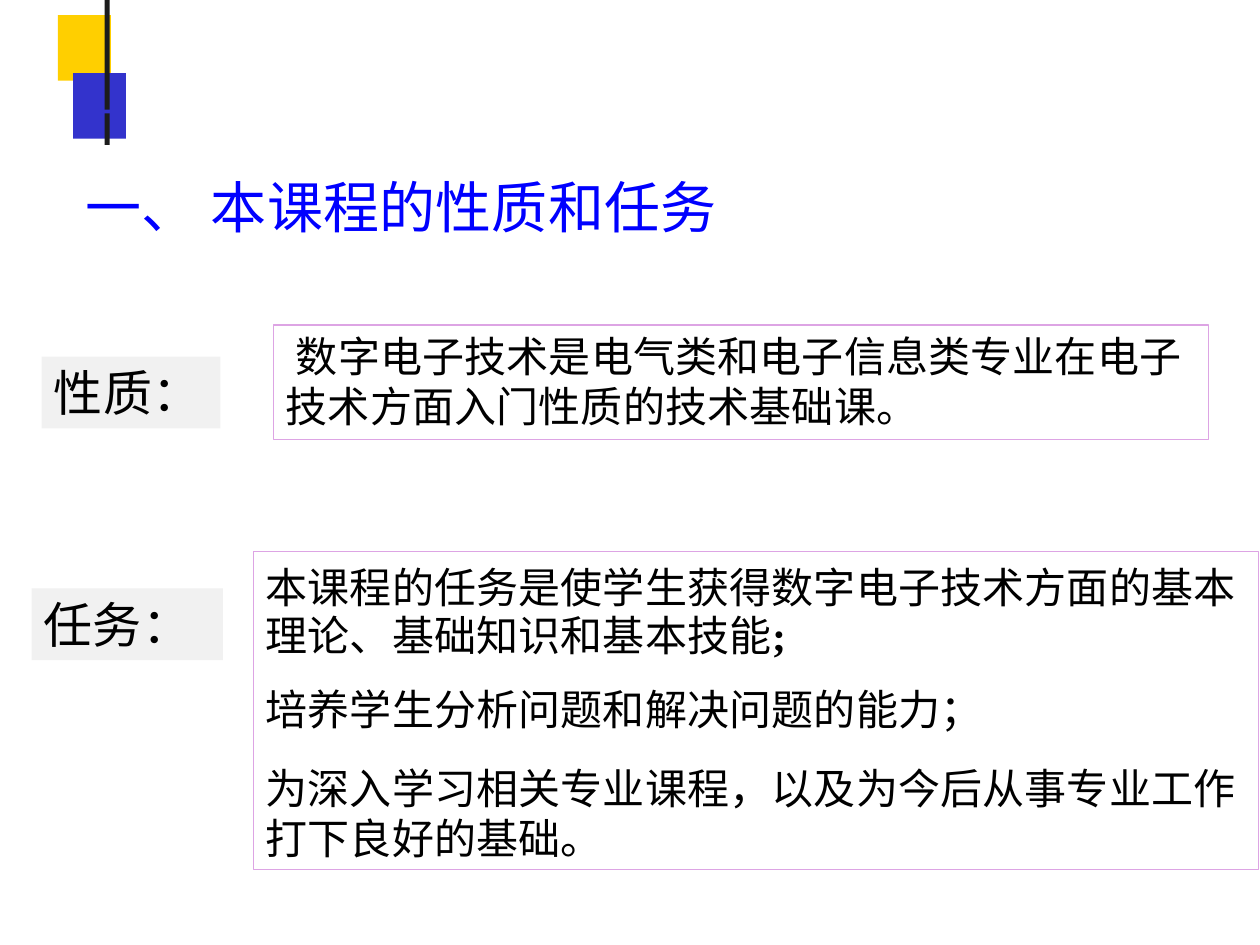
from dataclasses import dataclass

from pptx import Presentation
from pptx.dml.color import RGBColor
from pptx.enum.shapes import MSO_SHAPE
from pptx.enum.text import MSO_ANCHOR, PP_ALIGN
from pptx.oxml.ns import qn
from pptx.util import Inches, Pt


@dataclass(frozen=True)
class Theme:
    yellow: str = "FFCF00"
    indigo: str = "3333CC"
    charcoal: str = "1C1C1C"
    blue: str = "0000FF"
    black: str = "000000"
    grey: str = "F1F1F1"
    pink: str = "DDA4E4"
    title: int = 32
    label: int = 28
    body: int = 24
    chinese: str = "Noto Sans CJK SC"
    latin: str = "Times New Roman"


theme = Theme()
deck = Presentation()
deck.slide_width, deck.slide_height = Inches(10), Inches(7.5)
page = deck.slides.add_slide(deck.slide_layouts[6])
column, row = deck.slide_width / 100, deck.slide_height / 75


def add_box(left, top, width, height, fill=None, line=None):
    box = page.shapes.add_shape(
        MSO_SHAPE.RECTANGLE,
        round(left * column), round(top * row), round(width * column), round(height * row),
    )
    box.shadow.inherit = False
    if fill:
        box.fill.solid()
        box.fill.fore_color.rgb = RGBColor.from_string(fill)
    else:
        box.fill.background()
    if line:
        box.line.color.rgb = RGBColor.from_string(line)
        box.line.width = Pt(0.72)
    else:
        box.line.fill.background()
    return box


def write(box, paragraphs, size, color, left, top):
    frame = box.text_frame
    frame.word_wrap = True
    frame.vertical_anchor = MSO_ANCHOR.TOP
    frame.margin_left, frame.margin_top = round(left * column), round(top * row)
    frame.margin_right = frame.margin_bottom = 0
    for index, (text, before, spacing) in enumerate(paragraphs):
        para = frame.paragraphs[0] if index == 0 else frame.add_paragraph()
        para.alignment = PP_ALIGN.LEFT
        para.space_before = Pt(before)
        para.line_spacing = Pt(spacing)
        span = para.add_run()
        span.text = text
        span.font.name = theme.chinese
        span.font.size = Pt(size)
        span.font.color.rgb = RGBColor.from_string(color)
        properties = span.font._element
        properties.set("spc", "10")
        properties.find(qn("a:latin")).addnext(
            properties.makeelement(qn("a:ea"), {"typeface": theme.chinese})
        )
    return frame


for left, top, width, height, fill in (
    (4.6, 1.2, 4.2, 5.2, theme.yellow),
    (5.8, 5.8, 4.2, 5.2, theme.indigo),
    (8.3, 9, 0.4, 2.5, theme.charcoal),
    (8.3, 0, 0.4, 8.7, theme.charcoal),
):
    add_box(left, top, width, height, fill)

title = page.shapes.add_textbox(
    round(6.7 * column), round(13.6 * row), round(60 * column), round(5.6 * row)
)
write(title, [("一、 本课程的性质和任务", 0, 38.4)], theme.title, theme.blue, 0.1, 0.1)

nature = add_box(21.7, 25.8, 74.2, 9.1, line=theme.pink)
nature_frame = write(
    nature,
    [("数字电子技术是电气类和电子信息类专业在电子 技术方面入门性质的技术基础课。", 0, 28.8)],
    theme.body, theme.black, 1, 0.4,
)
nature_frame.paragraphs[0]._p.get_or_add_pPr().set("indent", str(round(0.8 * column)))

task = add_box(20.1, 43.8, 79.8, 25.2, line=theme.pink)
task_frame = write(
    task,
    [
        ("本课程的任务是使学生获得数字电子技术方面的基本 理论、基础知识和基本技能", 0, 27.6),
        ("培养学生分析问题和解决问题的能力；", 13.7, 28.8),
        ("为深入学习相关专业课程，以及为今后从事专业工作 打下良好的基础。", 17.1, 28.1),
    ],
    theme.body, theme.black, 1, 0.9,
)
semicolon = task_frame.paragraphs[0].add_run()
semicolon.text = ";"
semicolon.font.name = theme.latin
semicolon.font.size = Pt(theme.body)
semicolon.font.bold = True
semicolon.font.color.rgb = RGBColor.from_string(theme.black)

for text, left, top, width in (("性质：", 3.3, 28.3, 14.2), ("任务：", 2.5, 46.7, 15.2)):
    label = add_box(left, top, width, 5.7, theme.grey)
    write(label, [(text, 0, 33.6)], theme.label, theme.black, 1, 0.5)

deck.save("out.pptx")
